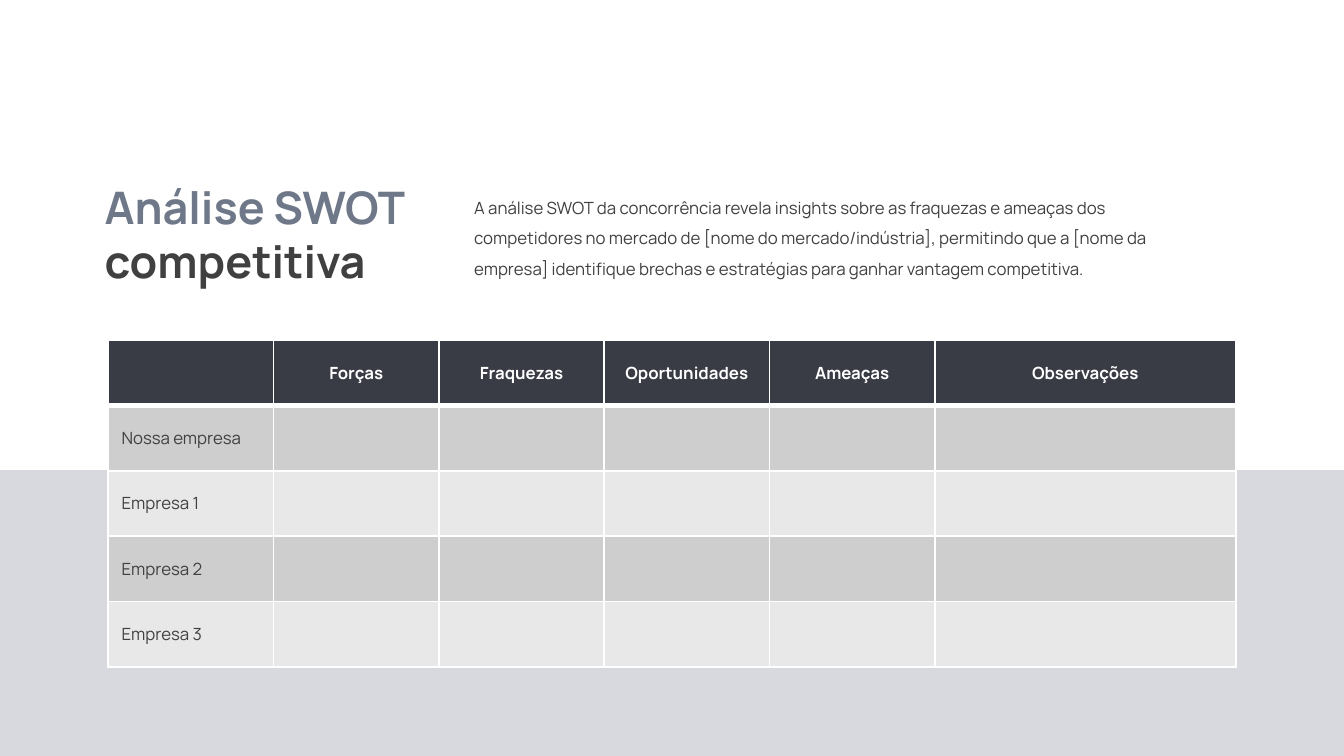
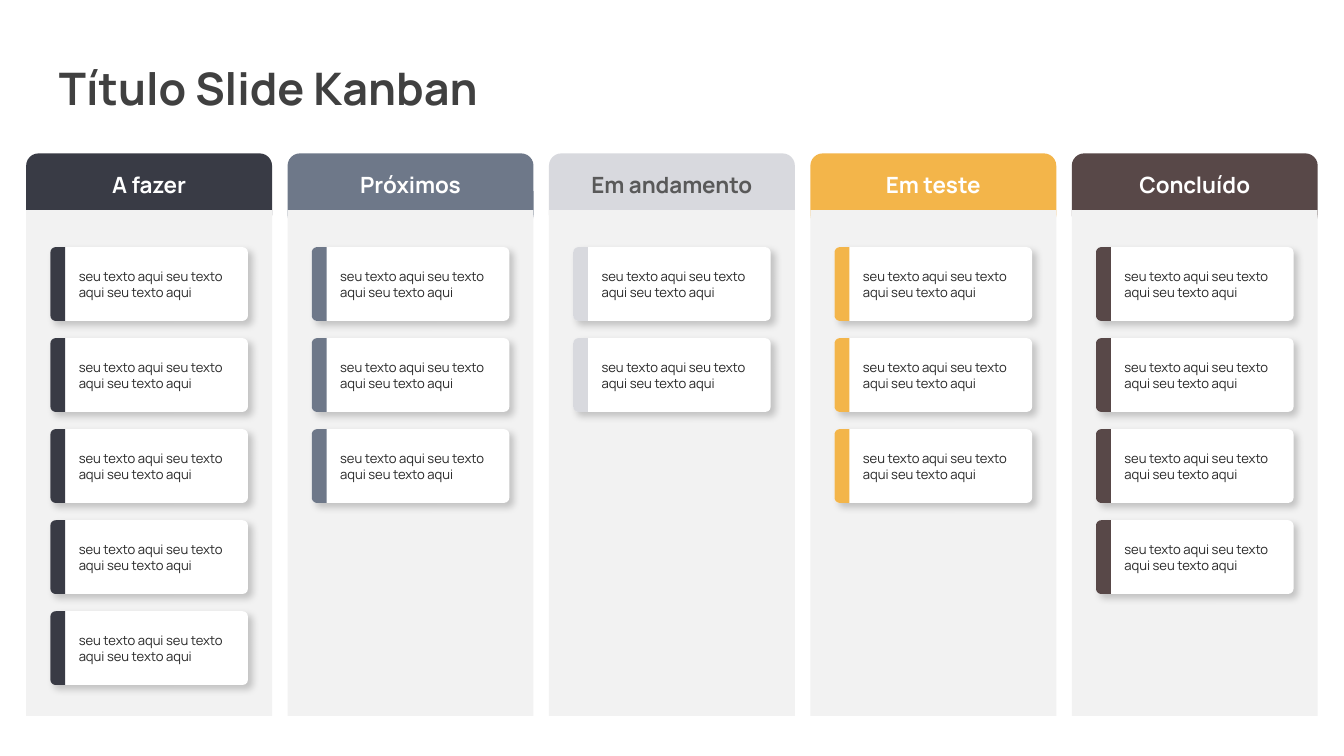
from math import cos, pi, sin

from pptx import Presentation
from pptx.dml.color import RGBColor
from pptx.enum.shapes import MSO_SHAPE
from pptx.enum.text import MSO_ANCHOR, MSO_AUTO_SIZE, PP_ALIGN
from pptx.oxml import parse_xml
from pptx.oxml.ns import nsdecls, qn
from pptx.util import Inches, Pt

# Widescreen, 16:9
WIDTH = Inches(10)
HEIGHT = WIDTH * 9 // 16

WHITE = RGBColor(0xFF, 0xFF, 0xFF)
CHARCOAL = RGBColor(0x39, 0x3B, 0x45)
SLATE = RGBColor(0x6E, 0x78, 0x89)
MIST = RGBColor(0xD8, 0xD9, 0xDE)
AMBER = RGBColor(0xF3, 0xB5, 0x4A)
COCOA = RGBColor(0x58, 0x48, 0x48)
LANE_GREY = RGBColor(0xF2, 0xF2, 0xF2)
ROW_DARK = RGBColor(0xCE, 0xCE, 0xCF)
ROW_LIGHT = RGBColor(0xE8, 0xE8, 0xE9)
INK = RGBColor(0x40, 0x40, 0x40)
INK_SOFT = RGBColor(0x59, 0x59, 0x59)
INK_CARD = RGBColor(0x26, 0x26, 0x26)

# Text styles
TITLE = {"name": "Manrope", "size": Pt(24), "bold": True}
BODY = {"name": "Manrope", "size": Pt(9), "bold": False}
TABLE_HEAD = {**BODY, "bold": True}
LANE_HEAD = {"name": "Manrope", "size": Pt(12), "bold": True}
CARD = {"name": "Manrope", "size": Pt(7), "bold": False}

# Table content
SWOT_HEADS = ["", "Forças", "Fraquezas", "Oportunidades", "Ameaças", "Observações"]
COMPANIES = ["Nossa empresa", "Empresa 1", "Empresa 2", "Empresa 3"]
SWOT_COLUMNS = [12.3] * 5 + [22.4]

# Board content: heading, colour, heading colour, number of cards
LANES = [
    ("A fazer", CHARCOAL, WHITE, 5),
    ("Próximos", SLATE, WHITE, 3),
    ("Em andamento", MIST, INK_SOFT, 2),
    ("Em teste", AMBER, WHITE, 3),
    ("Concluído", COCOA, WHITE, 4),
]
CARD_TEXT = "seu texto aqui seu texto aqui seu texto aqui"

# Board grid, in percent of the slide
BOARD_MARGIN, LANE_WIDTH = 1.95, 18.3
LANE_PITCH = (100 - 2 * BOARD_MARGIN - LANE_WIDTH) / (len(LANES) - 1)
CARD_WIDTH, CARD_HEIGHT, CARD_TOP, CARD_PITCH = 14.7, 9.76, 32.7, 12.04
CARD_ROUNDING = 0.072
CARD_INSET = (LANE_WIDTH - CARD_WIDTH) / 2


def across(percent):
    return round(WIDTH * percent / 100)


def down(percent):
    return round(HEIGHT * percent / 100)


def area(left, top, width, height):
    return across(left), down(top), across(width), down(height)


def write(paragraph, text, style, color, **layout):
    for key, value in layout.items():
        setattr(paragraph, key, value)
    font = paragraph.add_run().font if text else paragraph.font
    if text:
        paragraph.runs[0].text = text
    for key, value in style.items():
        setattr(font, key, value)
    font.color.rgb = color


def paint(shape, color):
    shape.shadow.inherit = False
    shape.fill.solid()
    shape.fill.fore_color.rgb = color
    shape.line.fill.background()
    return shape


def add_block(slide, kind, place, color):
    return paint(slide.shapes.add_shape(kind, *place), color)


def set_frame(frame, anchor, insets=None):
    frame.word_wrap = True
    frame.vertical_anchor = anchor
    if insets:
        for side, inset in zip(("left", "top", "right", "bottom"), insets):
            setattr(frame, f"margin_{side}", Inches(inset))
    return frame


def add_text(slide, place, lines, style, anchor=MSO_ANCHOR.TOP, **layout):
    """Text box with one paragraph for each (text, colour) in lines."""
    frame = set_frame(slide.shapes.add_textbox(*place).text_frame, anchor)
    frame.auto_size = MSO_AUTO_SIZE.SHAPE_TO_FIT_TEXT
    for number, (text, color) in enumerate(lines):
        paragraph = frame.add_paragraph() if number else frame.paragraphs[0]
        write(paragraph, text, style, color, **layout)


def set_borders(cell, **points):
    properties = cell._tc.get_or_add_tcPr()
    for number, side in enumerate(("L", "R", "T", "B")):
        border = parse_xml(
            f'<a:ln{side} {nsdecls("a")} w="{Pt(points.get(side, 1))}">'
            f'<a:solidFill><a:srgbClr val="{WHITE}"/></a:solidFill></a:ln{side}>'
        )
        properties.insert(number, border)


def add_swot_table(slide):
    rows = [SWOT_HEADS] + [[name] + [""] * 5 for name in COMPANIES]
    place = area(8.05, 45.02, sum(SWOT_COLUMNS), 43.2)
    table = slide.shapes.add_table(len(rows), len(SWOT_HEADS), *place).table
    for column, width in zip(table.columns, SWOT_COLUMNS):
        column.width = across(width)
    for r, texts in enumerate(rows):
        for c, text in enumerate(texts):
            cell = table.cell(r, c)
            cell.vertical_anchor = MSO_ANCHOR.MIDDLE
            cell.fill.solid()
            paragraph = cell.text_frame.paragraphs[0]
            if r == 0:
                cell.fill.fore_color.rgb = CHARCOAL
                write(paragraph, text, TABLE_HEAD, WHITE, alignment=PP_ALIGN.CENTER)
                set_borders(cell, B=3)
            else:
                cell.fill.fore_color.rgb = ROW_DARK if r % 2 else ROW_LIGHT
                write(paragraph, text, BODY, INK)
                set_borders(cell, T=3 if r == 1 else 1)


def add_card_shadow(card):
    card.element.spPr.find(qn("a:effectLst")).append(parse_xml(
        f'<a:outerShdw {nsdecls("a")} blurRad="{Pt(4)}" dist="{Pt(3)}" '
        'dir="2700000" algn="tl" rotWithShape="0">'
        '<a:srgbClr val="000000"><a:alpha val="20000"/></a:srgbClr></a:outerShdw>'
    ))


def add_card_tab(slide, left, top, color):
    """Strip on the left of a card, rounded at its two outer corners."""
    x, y, width, height = area(left, top, 1.1, CARD_HEIGHT)
    radius = CARD_ROUNDING * height
    corners = []
    for center_y, start in ((y + height - radius, pi / 2), (y + radius, pi)):
        for step in range(7):
            angle = start + step * pi / 12
            corners.append((round(x + radius + radius * cos(angle)),
                            round(center_y + radius * sin(angle))))
    outline = slide.shapes.build_freeform(x + width, y)
    outline.add_line_segments([(x + width, y + height)] + corners)
    paint(outline.convert_to_shape(), color)


def add_card(slide, left, top, color):
    place = area(left, top, CARD_WIDTH, CARD_HEIGHT)
    card = add_block(slide, MSO_SHAPE.ROUNDED_RECTANGLE, place, WHITE)
    card.adjustments[0] = CARD_ROUNDING
    add_card_shadow(card)
    frame = set_frame(card.text_frame, MSO_ANCHOR.MIDDLE, (0.2, 0.05, 0.04, 0.05))
    write(frame.paragraphs[0], CARD_TEXT, CARD, INK_CARD, alignment=PP_ALIGN.LEFT)
    add_card_tab(slide, left, top, color)


def add_lane(slide, left, heading, color, heading_color, cards):
    head = add_block(slide, MSO_SHAPE.ROUNDED_RECTANGLE,
                     area(left, 20.3, LANE_WIDTH, 9.76), color)
    frame = set_frame(head.text_frame, MSO_ANCHOR.MIDDLE, (0.1, 0, 0.1, 0.08))
    write(frame.paragraphs[0], heading, LANE_HEAD, heading_color,
          alignment=PP_ALIGN.CENTER)
    add_block(slide, MSO_SHAPE.RECTANGLE,
              area(left, 27.8, LANE_WIDTH, 66.9), LANE_GREY)
    for row in range(cards):
        add_card(slide, left + CARD_INSET, CARD_TOP + row * CARD_PITCH, color)


def build_swot(slide):
    add_block(slide, MSO_SHAPE.RECTANGLE, area(0, 62.2, 100, 37.8), MIST)
    add_swot_table(slide)
    add_text(slide, area(6.8, 22.95, 27.5, 16.2),
             [("Análise SWOT", SLATE), ("competitiva", INK)], TITLE)
    summary = (
        "A análise SWOT da concorrência revela insights sobre as fraquezas e "
        "ameaças dos competidores no mercado de [nome do mercado/indústria], "
        "permitindo que a [nome da empresa] identifique brechas e estratégias "
        "para ganhar vantagem competitiva."
    )
    add_text(slide, area(34.3, 24.2, 56.9, 13.5), [(summary, INK)], BODY,
             MSO_ANCHOR.BOTTOM, line_spacing=1.5)


def build_kanban(slide):
    add_text(slide, area(3.4, 7.1, 71.8, 8.9), [("Título Slide Kanban", INK)],
             TITLE, MSO_ANCHOR.MIDDLE)
    for column, lane in enumerate(LANES):
        add_lane(slide, BOARD_MARGIN + column * LANE_PITCH, *lane)


def main():
    deck = Presentation()
    deck.slide_width, deck.slide_height = WIDTH, HEIGHT
    for build in (build_swot, build_kanban):
        build(deck.slides.add_slide(deck.slide_layouts[6]))
    deck.save("out.pptx")


if __name__ == "__main__":
    main()
